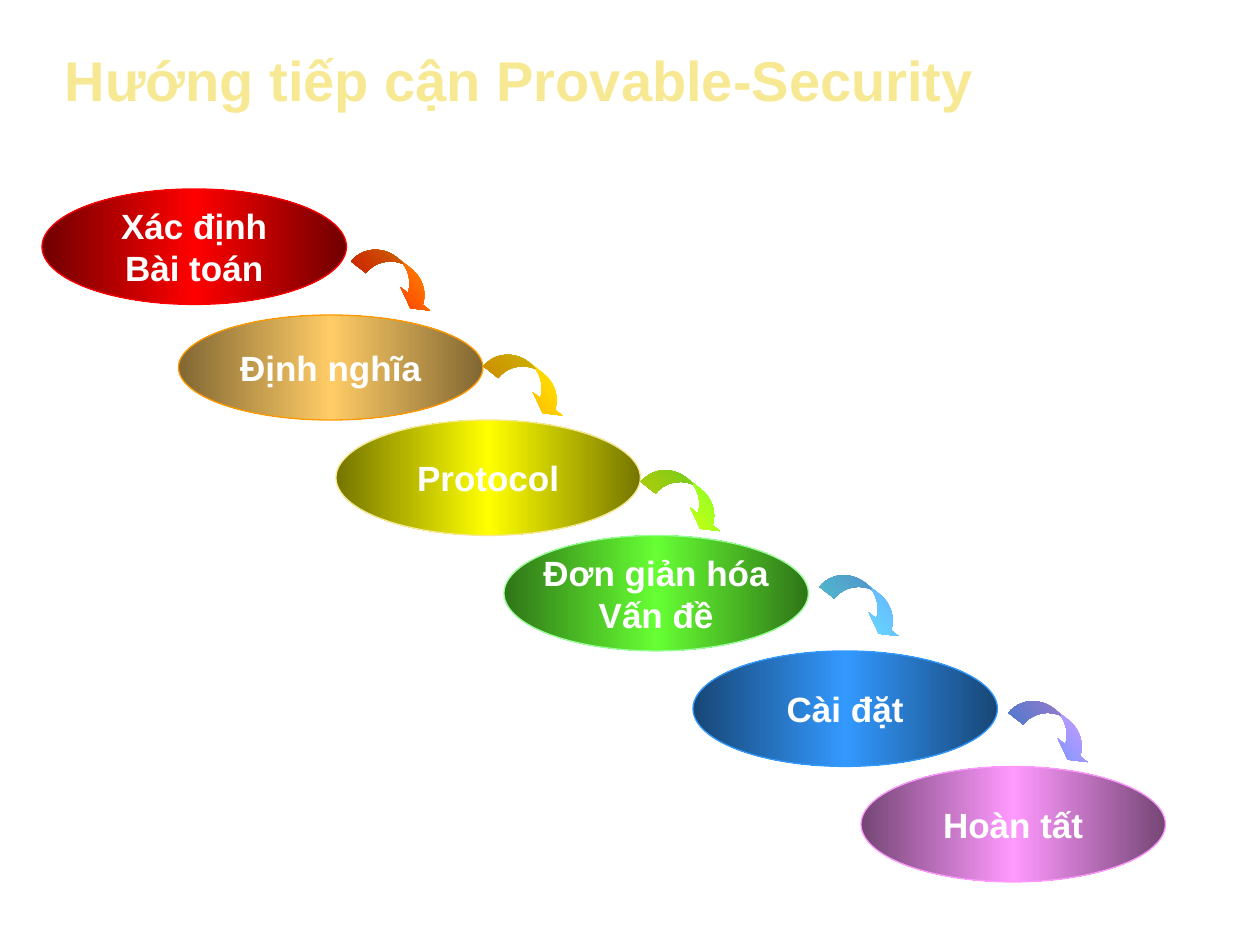
from dataclasses import dataclass

from lxml.etree import SubElement
from pptx import Presentation
from pptx.dml.color import RGBColor
from pptx.enum.shapes import MSO_SHAPE as Preset
from pptx.enum.text import MSO_ANCHOR as Anchor, PP_ALIGN as Align
from pptx.oxml.ns import qn
from pptx.util import Pt

EMU_PER_PX = 7620  # 120 px to the inch


@dataclass(frozen=True)
class Theme:
    font: str = "Arial"
    title_size: int = 32
    step_size: int = 20
    title: str = "F7E993"
    title_shadow: str = "000000"
    step_text: str = "FFFFFF"


@dataclass(frozen=True)
class Step:
    lines: tuple[str, ...]
    left: int
    top: int
    edge: str
    middle: str
    outline: str
    height: int = 110


@dataclass(frozen=True)
class Turn:
    left: int
    top: int
    start: str
    end: str


THEME = Theme()
STEP_WIDTH = 290
TURN_WIDTH, TURN_HEIGHT, TURN_ANGLE = 90, 30, 38.3
TURN_ADJUSTMENTS = (0.6, 1.2, 0.33)

STEPS = (
    Step(("Xác định", "Bài toán"), 40, 180, "700000", "FF0000", "FF0000"),
    Step(("Định nghĩa",), 170, 300, "816733", "FFCC66", "FF9900", 100),
    Step(("Protocol",), 320, 400, "757500", "FFFF00", "F7E993"),
    Step(("Đơn giản hóa", "Vấn đề"), 480, 510, "2F7517", "66FF33", "99FF99"),
    Step(("Cài đặt",), 660, 620, "174675", "3399FF", "3399FF"),
    Step(("Hoàn tất",), 820, 730, "754675", "FF99FF", "FF99FF"),
)
TURNS = (
    Turn(334, 250, "FFB601", "FF0000"),
    Turn(460, 350, "FFFF00", "FF9900"),
    Turn(610, 460, "66FF33", "FFFF00"),
    Turn(780, 560, "6699FF", "66FFFF"),
    Turn(960, 680, "FF99FF", "3399FF"),
)


def px(*lengths: int) -> list[int]:
    return [length * EMU_PER_PX for length in lengths]


def add_run(paragraph, text: str, size: int, color: str):
    run = paragraph.add_run()
    run.text = text
    run.font.size = Pt(size)
    run.font.bold = True
    run.font.color.rgb = RGBColor.from_string(color)
    run.font.name = THEME.font
    return run


def fill_gradient(shape, colors: tuple[str, ...], angle: int) -> None:
    """Spread the colours evenly, at an angle fixed to the slide."""
    shape.fill.gradient()
    gradient = shape.fill._xPr.find(qn("a:gradFill"))
    gradient.set("rotWithShape", "0")
    for child in list(gradient):
        gradient.remove(child)
    stops = SubElement(gradient, qn("a:gsLst"))
    for index, color in enumerate(colors):
        position = index * 100000 // (len(colors) - 1)
        stop = SubElement(stops, qn("a:gs"), pos=str(position))
        SubElement(stop, qn("a:srgbClr"), val=color)
    SubElement(gradient, qn("a:lin"), ang=str(angle * 60000), scaled="0")


def add_title(slide, text: str) -> None:
    box = slide.shapes.add_textbox(*px(50, 44, 1100, 70))
    frame = box.text_frame
    frame.word_wrap = True
    frame.vertical_anchor = Anchor.MIDDLE
    heading = frame.paragraphs[0]
    heading.line_spacing = 0.9
    run = add_run(heading, text, THEME.title_size, THEME.title)
    # Text shadow, which belongs right after the text fill
    properties = run.font._element
    effects = SubElement(properties, qn("a:effectLst"))
    shadow = SubElement(effects, qn("a:outerShdw"), dist="17780", dir="2700000")
    SubElement(shadow, qn("a:srgbClr"), val=THEME.title_shadow)
    properties.find(qn("a:solidFill")).addnext(effects)


def add_step(slide, step: Step) -> None:
    ellipse = slide.shapes.add_shape(
        Preset.OVAL, *px(step.left, step.top, STEP_WIDTH, step.height))
    ellipse.shadow.inherit = False
    fill_gradient(ellipse, (step.edge, step.middle, step.edge), 180)
    ellipse.line.color.rgb = RGBColor.from_string(step.outline)
    ellipse.line.width = Pt(0.75)
    frame = ellipse.text_frame
    frame.word_wrap = False
    frame.vertical_anchor = Anchor.MIDDLE
    for index, line in enumerate(step.lines):
        paragraph = frame.add_paragraph() if index else frame.paragraphs[0]
        paragraph.alignment = Align.CENTER
        add_run(paragraph, line, THEME.step_size, THEME.step_text)


def add_turn(slide, turn: Turn) -> None:
    arrow = slide.shapes.add_shape(
        Preset.CURVED_DOWN_ARROW,
        *px(turn.left, turn.top, TURN_WIDTH, TURN_HEIGHT))
    arrow.shadow.inherit = False
    for index, value in enumerate(TURN_ADJUSTMENTS):
        arrow.adjustments[index] = value
    arrow.rotation = TURN_ANGLE
    fill_gradient(arrow, (turn.start, turn.end), 142)
    arrow.line.fill.background()


def main() -> None:
    deck = Presentation()
    deck.slide_width, deck.slide_height = px(1200, 900)
    slide = deck.slides.add_slide(deck.slide_layouts[6])

    # Heading
    add_title(slide, "Hướng tiếp cận Provable-Security")

    # Staircase of steps
    for step in STEPS:
        add_step(slide, step)

    # Arrows from each step to the next
    for turn in TURNS:
        add_turn(slide, turn)

    deck.save("out.pptx")


if __name__ == "__main__":
    main()
